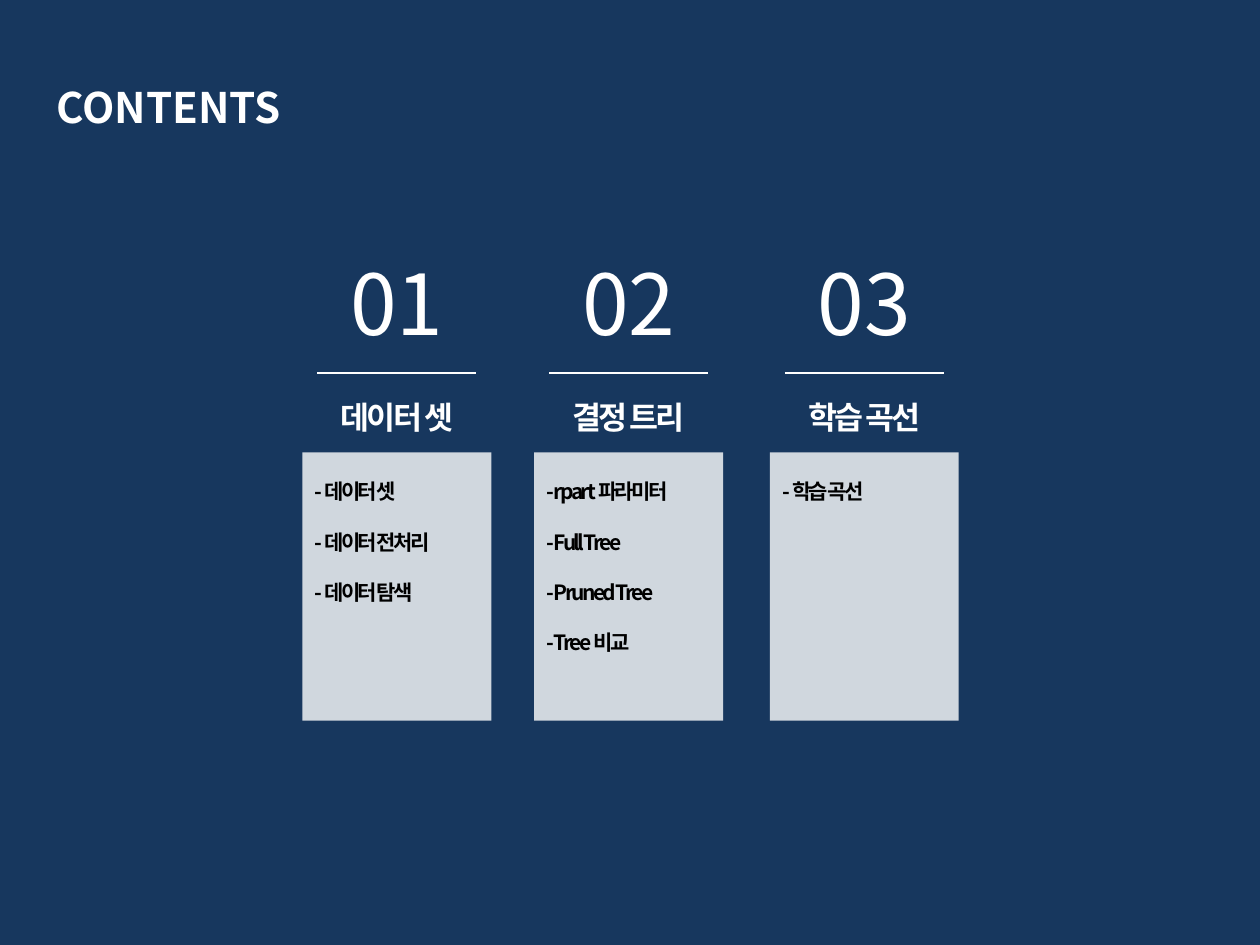
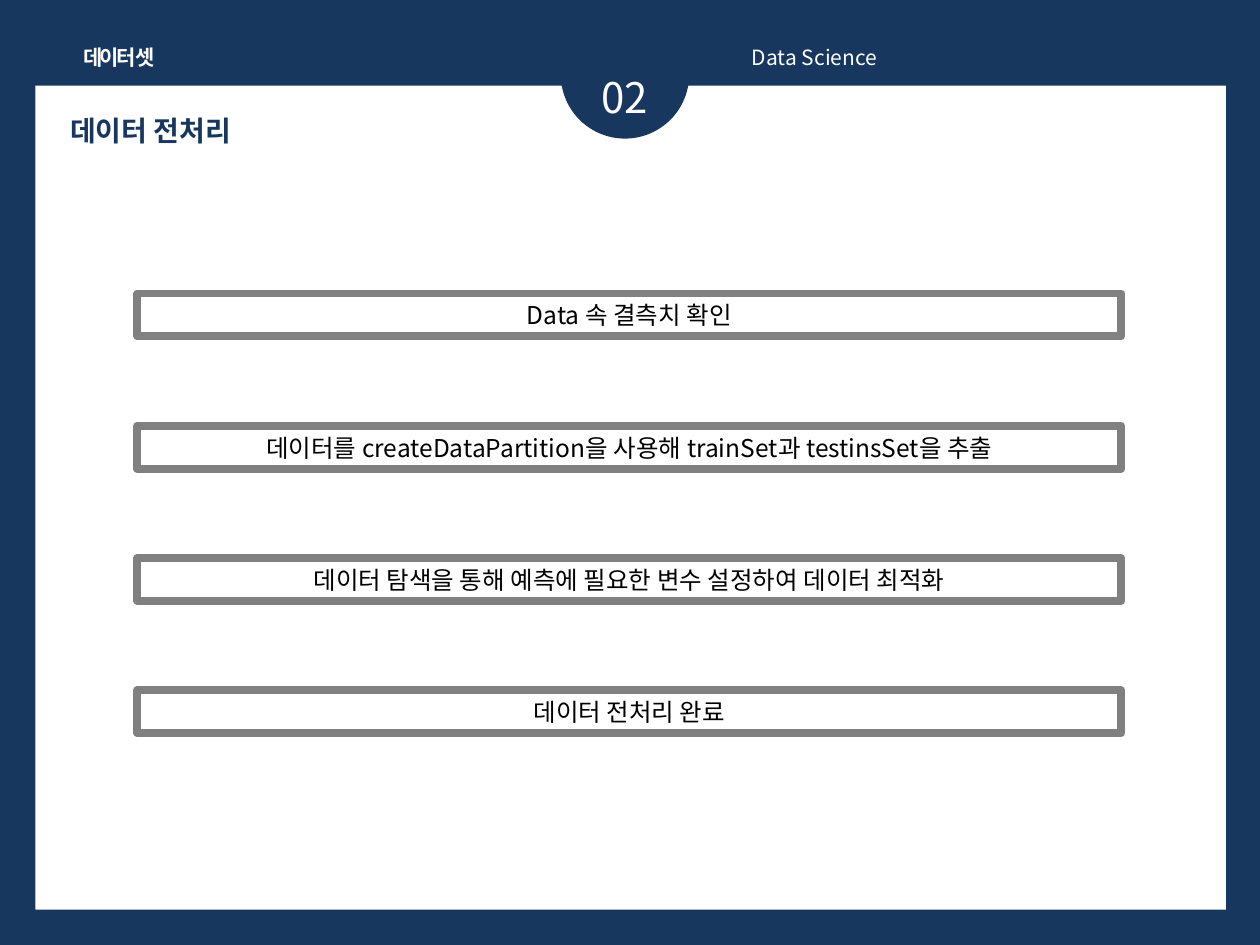
"""Build the contents slide and the data preprocessing slide."""
from lxml.etree import SubElement
from pptx import Presentation
from pptx.dml.color import RGBColor
from pptx.enum.shapes import MSO_CONNECTOR as Connector, MSO_SHAPE as Shape
from pptx.enum.text import MSO_ANCHOR as Anchor, PP_ALIGN as Align
from pptx.oxml.ns import qn
from pptx.util import Inches, Pt

FONT = "Noto Sans CJK KR"
COLORS = {"navy": "17375E", "white": "FFFFFF", "black": "000000", "gray": "808080"}
TIGHT = -150


def write(shape, lines, size, color, bold=False, align=Align.LEFT, spacing=0,
          anchor=Anchor.MIDDLE, wrap=True):
    frame = shape.text_frame
    frame.word_wrap = wrap
    frame.vertical_anchor = anchor
    for index, line in enumerate(lines):
        paragraph = frame.add_paragraph() if index else frame.paragraphs[0]
        paragraph.alignment = align
        if len(lines) > 1 or anchor == Anchor.TOP:
            paragraph.line_spacing = Pt(size * 1.2)
            paragraph.space_before = Pt(size * 1.2 if index else 0)
        run = paragraph.add_run()
        run.text = line
        run.font.size = Pt(size)
        run.font.bold = bold
        run.font.color.rgb = RGBColor.from_string(COLORS[color])
        run.font.name = FONT
        properties = run.font._element
        SubElement(properties, qn("a:ea"), typeface=FONT)
        if spacing:
            properties.set("spc", str(spacing))


def add_block(slide, kind, left, top, width, height, fill=None):
    block = slide.shapes.add_shape(kind, Inches(left), Inches(top), Inches(width), Inches(height))
    block.shadow.inherit = False
    block.line.fill.background()
    if fill:
        block.fill.solid()
        block.fill.fore_color.rgb = RGBColor.from_string(COLORS[fill])
    else:
        block.fill.background()
    return block


prs = Presentation()
prs.slide_width, prs.slide_height = Inches(10), Inches(7.5)
contents, preprocessing = [prs.slides.add_slide(prs.slide_layouts[6]) for _ in range(2)]
for slide in (contents, preprocessing):
    slide.background.fill.solid()
    slide.background.fill.fore_color.rgb = RGBColor.from_string(COLORS["navy"])

heading = contents.shapes.add_textbox(Inches(0.35), Inches(0.6), Inches(4.57), Inches(0.5))
write(heading, ["CONTENTS"], 24, "white", bold=True)

chapters = [
    (3.15, "데이터 셋", ["- 데이터 셋", "- 데이터 전처리", "- 데이터 탐색"]),
    (4.99, "결정 트리", ["- rpart 파라미터", "- Full Tree", "- Pruned Tree", "- Tree 비교"]),
    (6.86, "학습 곡선", ["- 학습 곡선"]),
]
for order, (center, name, topics) in enumerate(chapters, 1):
    number = contents.shapes.add_textbox(
        Inches(center - 0.54), Inches(1.94), Inches(1.08), Inches(0.91))
    write(number, [f"{order:02}"], 48, "white", align=Align.CENTER)

    rule = contents.shapes.add_connector(
        Connector.STRAIGHT, Inches(center - 0.63), Inches(2.96),
        Inches(center + 0.63), Inches(2.96))
    rule.line.color.rgb = RGBColor.from_string(COLORS["white"])
    rule.line.width = Pt(0.75)
    SubElement(rule._element.spPr, qn("a:effectLst"))

    title = contents.shapes.add_textbox(
        Inches(center - 0.63), Inches(3.11), Inches(1.26), Inches(0.4))
    write(title, [name], 18, "white", bold=True, align=Align.CENTER, spacing=TIGHT)

    card = add_block(contents, Shape.RECTANGLE, center - 0.75, 3.59, 1.5, 2.13, "white")
    tint = card._element.spPr.find(qn("a:solidFill"))[0]
    SubElement(tint, qn("a:alpha"), val="80000")

    topic_list = contents.shapes.add_textbox(
        Inches(center - 0.75), Inches(3.75), Inches(1.5), Inches(0.4 * len(topics) - 0.1))
    write(topic_list, topics, 12, "black", bold=True, spacing=TIGHT, anchor=Anchor.TOP)

add_block(preprocessing, Shape.RECTANGLE, 0.28, 0.68, 9.45, 6.54, "white")
add_block(preprocessing, Shape.OVAL, 4.45, 0.08, 1.02, 1.02, "navy")

page = preprocessing.shapes.add_textbox(Inches(4.37), Inches(0.52), Inches(1.18), Inches(0.5))
write(page, ["02"], 24, "white", align=Align.CENTER)
chapter = preprocessing.shapes.add_textbox(Inches(0.53), Inches(0.3), Inches(0.83), Inches(0.3))
write(chapter, ["데이터 셋"], 12, "white", bold=True, align=Align.CENTER, spacing=TIGHT, wrap=False)
course = preprocessing.shapes.add_textbox(Inches(5.87), Inches(0.3), Inches(3.94), Inches(0.3))
write(course, ["Data Science"], 12, "white", align=Align.JUSTIFY)
topic = preprocessing.shapes.add_textbox(Inches(0.46), Inches(0.85), Inches(1.63), Inches(0.37))
write(topic, ["데이터 전처리"], 16, "navy", bold=True)

steps = [
    "Data 속 결측치 확인",
    "데이터를 createDataPartition을 사용해 trainSet과 testinsSet을 추출",
    "데이터 탐색을 통해 예측에 필요한 변수 설정하여 데이터 최적화",
    "데이터 전처리 완료",
]
for row, step in enumerate(steps):
    frame = add_block(preprocessing, Shape.RECTANGLE, 1.09, 2.33 + 1.05 * row, 7.81, 0.34)
    frame.line.color.rgb = RGBColor.from_string(COLORS["gray"])
    frame.line.width = Pt(4.5)
    write(frame, [step], 14, "black", align=Align.CENTER)

prs.save("out.pptx")
